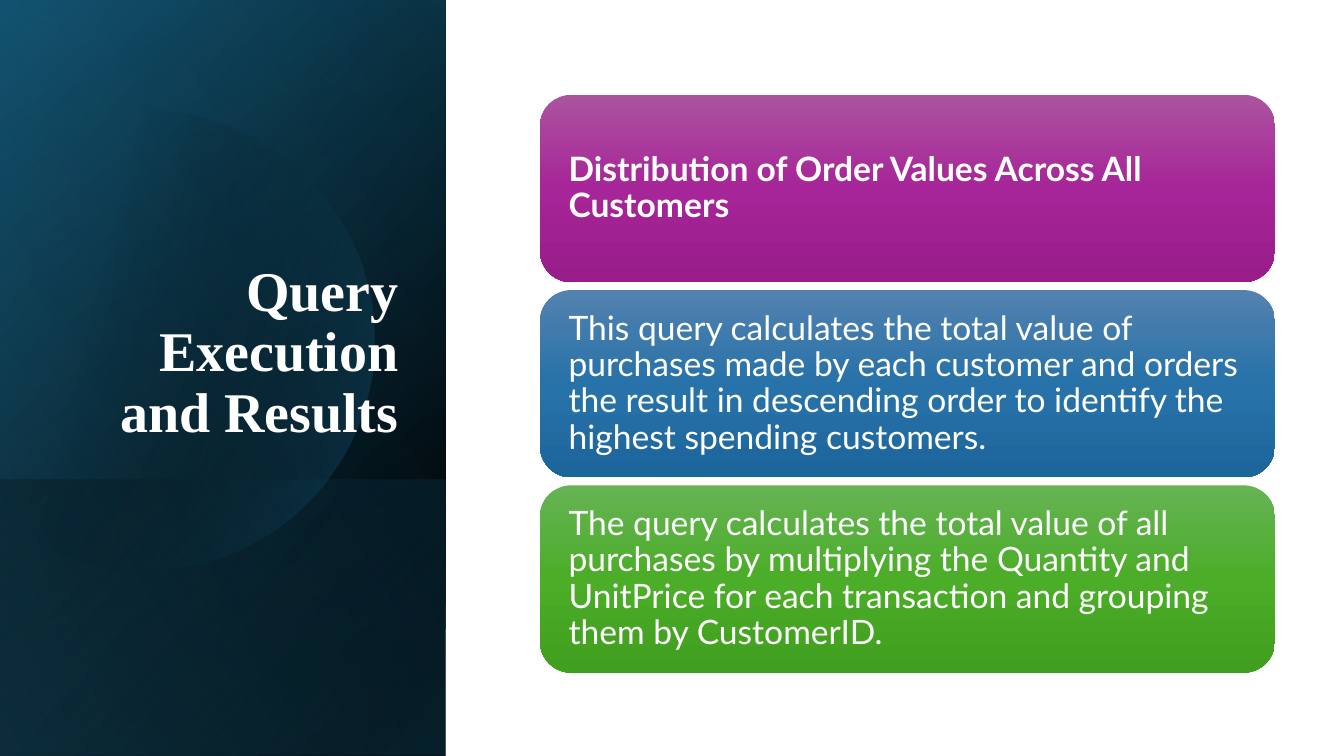
import math

from lxml import etree
from pptx import Presentation
from pptx import util as u
from pptx.dml.color import RGBColor
from pptx.enum import shapes, text
from pptx.oxml.ns import qn

HUES = {
    "black": "000000", "white": "FFFFFF", "deep": "104862",
    "teal": "156082", "sky": "46B1E1",
}
CARDS = [
    ("Distribution of Order Values Across All Customers", True,
     ("AC53A0", "A62598", "991C8B")),
    ("This query calculates the total value of purchases made by each customer "
     "and orders the result in descending order to identify the highest "
     "spending customers.", False, ("5382AF", "2772A9", "1D669C")),
    ("The query calculates the total value of all purchases by multiplying the "
     "Quantity and UnitPrice for each transaction and grouping them by "
     "CustomerID.", False, ("66B354", "4BAD28", "409F1E")),
]
WIDE, HIGH = 33.87, 19.05
PANEL = 11.23


class Deck:
    head, body = "Times New Roman", "Lato"

    def __init__(self):
        self.prs = Presentation()
        self.prs.slide_width, self.prs.slide_height = u.Cm(WIDE), u.Cm(HIGH)
        self.slide = self.prs.slides.add_slide(self.prs.slide_layouts[6])

    def paint(self, shape, stops, angle):
        """Fill with (position, hex, opacity) stops along a clockwise angle."""
        shape.shadow.inherit = False
        shape.line.fill.background()
        shape.fill.gradient()
        shape.fill.gradient_angle = 360 - angle
        ramp = shape.element.spPr.find(".//" + qn("a:gsLst"))
        for old in list(ramp):
            ramp.remove(old)
        for pos, hue, solid in stops:
            stop = etree.SubElement(ramp, qn("a:gs"), pos=str(pos * 1000))
            tone = etree.SubElement(stop, qn("a:srgbClr"), val=hue)
            if solid < 100:
                etree.SubElement(tone, qn("a:alpha"), val=str(solid * 1000))

    def slab(self, top, high, stops, angle, flip=True):
        """Panel-wide rectangle turned a quarter, its gradient turned with it."""
        shift = (PANEL - high) / 2
        shape = self.slide.shapes.add_shape(
            shapes.MSO_SHAPE.RECTANGLE,
            u.Cm(shift), u.Cm(top - shift), u.Cm(high), u.Cm(PANEL))
        shape.rotation = 90
        if flip:
            shape.element.spPr.xfrm.set("flipH", "1")
        self.paint(shape, stops, angle)

    def disc(self, x, y, radius, stops, angle):
        """Circle cut off by the left edge of the slide."""
        end = math.degrees(math.acos(-x / radius))
        turns = [math.radians(end * step / 60) for step in range(-60, 61)]
        dots = [(u.Cm(x + radius * math.cos(t)), u.Cm(y + radius * math.sin(t)))
                for t in turns]
        pen = self.slide.shapes.build_freeform(*dots[0])
        pen.add_line_segments(dots[1:], close=True)
        self.paint(pen.convert_to_shape(), stops, angle)

    def label(self, shape, words, font, size, bold, align, anchor):
        frame = shape.text_frame
        frame.text = words
        frame.word_wrap = True
        frame.vertical_anchor = anchor
        para = frame.paragraphs[0]
        para.alignment, para.line_spacing = align, 0.9
        face = para.runs[0].font
        face.name, face.size, face.bold = font, u.Pt(size), bold
        face.color.rgb = RGBColor.from_string(HUES["white"])

    def title(self, words, x, y, w, h):
        box = self.slide.shapes.add_textbox(u.Cm(x), u.Cm(y), u.Cm(w), u.Cm(h))
        self.label(box, words, self.head, 40, True,
                   text.PP_ALIGN.RIGHT, text.MSO_ANCHOR.BOTTOM)

    def card(self, words, bold, hues, x, y, w, h):
        shape = self.slide.shapes.add_shape(
            shapes.MSO_SHAPE.ROUNDED_RECTANGLE,
            u.Cm(x), u.Cm(y), u.Cm(w), u.Cm(h))
        self.paint(shape, [(50 * i, hue, 100) for i, hue in enumerate(hues)], 90)
        frame = shape.text_frame
        frame.margin_left = frame.margin_right = u.Cm(0.49)
        self.label(shape, words, self.body, 24, bold,
                   text.PP_ALIGN.LEFT, text.MSO_ANCHOR.MIDDLE)


def main():
    deck = Deck()
    black, teal = HUES["black"], HUES["teal"]
    deck.slab(0, HIGH, [(8, black, 100), (100, HUES["deep"], 100)], 50)
    deck.slab(0, HIGH, [(0, black, 0), (99, teal, 46)], 30)
    deck.slab(12.09, HIGH - 12.09, [(2, teal, 29), (100, black, 30)], 130, False)
    deck.disc(3.66, 8.59, 5.79, [(29, black, 0), (100, teal, 43)], 14)
    deck.slab(0, HIGH, [(0, black, 0), (99, HUES["sky"], 11)], 120)
    deck.title("Query Execution and Results", 1.63, 4.67, 8.66, 6.65)
    for row, (words, bold, hues) in enumerate(CARDS):
        deck.card(words, bold, hues, 13.61, 2.39 + 4.92 * row, 18.52, 4.72)
    deck.prs.save("out.pptx")


if __name__ == "__main__":
    main()
